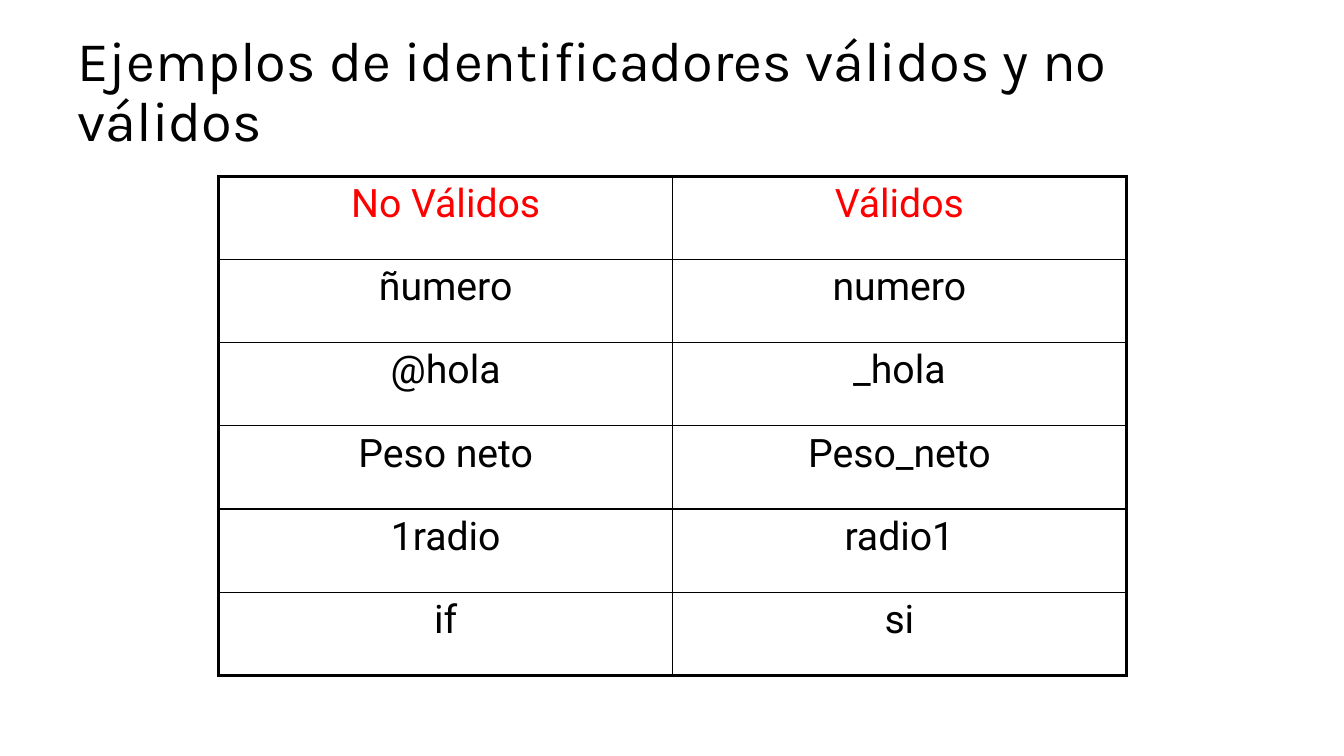
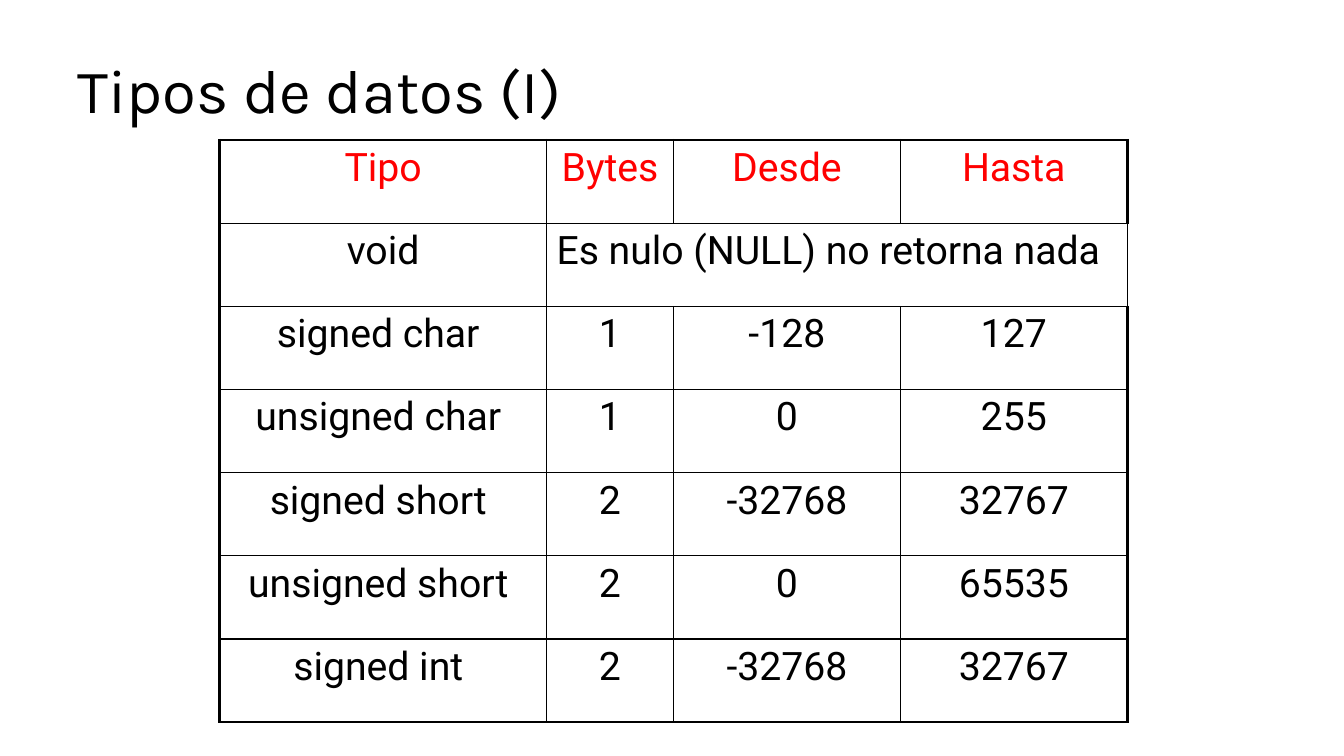
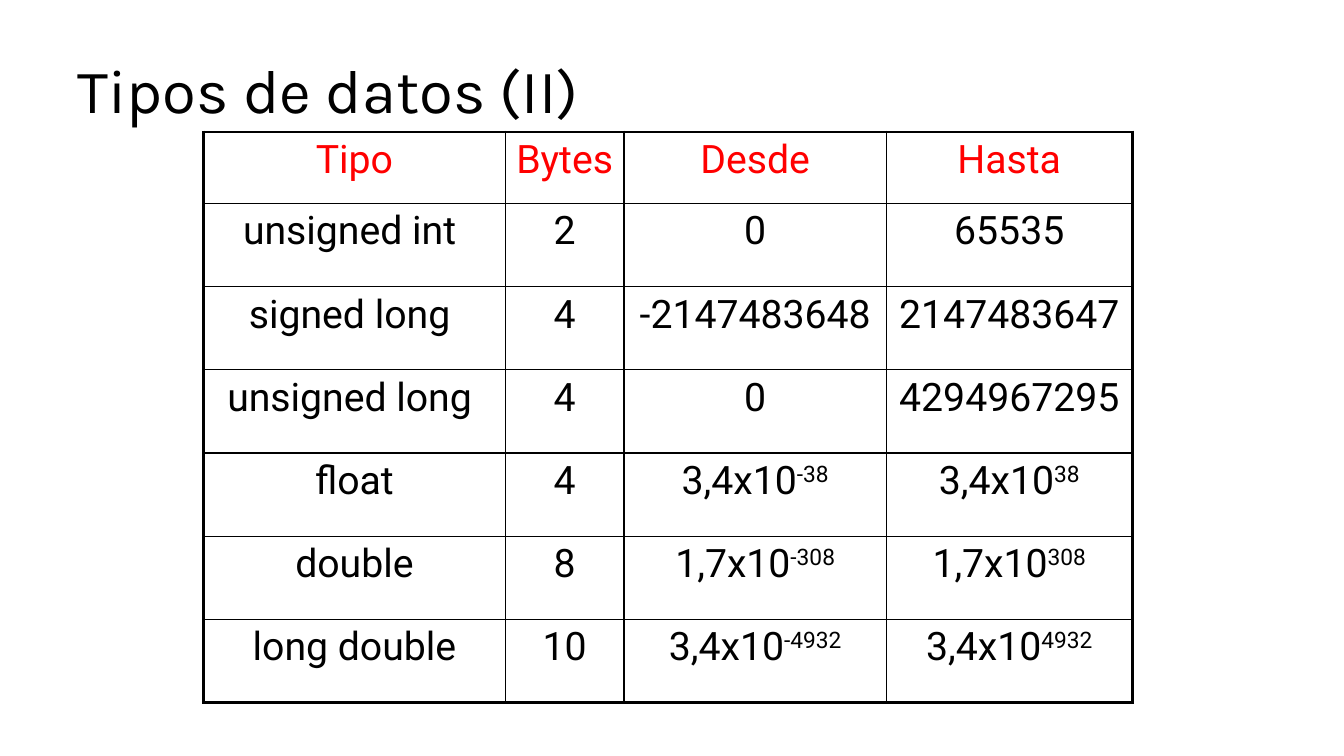
from lxml.etree import SubElement
from pptx import Presentation
from pptx.dml.color import RGBColor
from pptx.enum.text import MSO_ANCHOR, PP_ALIGN
from pptx.oxml import parse_xml
from pptx.oxml.ns import nsdecls, qn
from pptx.util import Inches, Pt

# Content: "^" starts a superscript, None joins a cell to the one on its left
HEAD = ("Tipo", "Bytes", "Desde", "Hasta")
SLIDES = [
    dict(
        title="Ejemplos de identificadores válidos y no válidos", size=40,
        left=2.17, top=1.75, cols=(4.5, 4.5), first=0.825,
        rows=[
            ("No Válidos", "Válidos"),
            ("ñumero", "numero"),
            ("@hola", "_hola"),
            ("Peso neto", "Peso_neto"),
            ("1radio", "radio1"),
            ("if", "si"),
        ]),
    dict(
        title="Tipos de datos (I)", size=44,
        left=2.18, top=1.39, cols=(3.24, 1.26, 2.25, 2.25), first=0.825,
        rows=[
            HEAD,
            ("void", "Es nulo (NULL) no retorna nada", None, None),
            ("signed char ", "1", "-128", "127"),
            ("unsigned char ", "1", "0", "255"),
            ("signed short ", "2", "-32768", "32767"),
            ("unsigned short ", "2", "0", "65535"),
            ("signed int ", "2", "-32768", "32767"),
        ]),
    dict(
        title="Tipos de datos (II)", size=44,
        left=2.02, top=1.31, cols=(2.99, 1.18, 2.6, 2.44), first=0.71,
        rows=[
            HEAD,
            ("unsigned int ", "2", "0", "65535"),
            ("signed long ", "4", "-2147483648", "2147483647"),
            ("unsigned long ", "4", "0", "4294967295"),
            ("float", "4", "3,4x10^-38", "3,4x10^38"),
            ("double", "8", "1,7x10^-308", "1,7x10^308"),
            ("long double", "10", "3,4x10^-4932", "3,4x10^4932"),
        ]),
]

# Shared style
COLOR = {"ink": "000000", "head": "FF0000"}
FONT = {"title": "Karla", "cell": "Roboto"}
ROW = Inches(0.825)
THICK, THIN = Pt(2.25), Pt(1)


def put(frame, text, font, size, color="ink", align=PP_ALIGN.LEFT,
        line=None, before=None):
    """Write one paragraph; before is a percentage of the line."""
    par = frame.paragraphs[0]
    par.alignment = align
    if line:
        par.line_spacing = line
    if before:
        gap = SubElement(par._p.get_or_add_pPr(), qn("a:spcBef"))
        SubElement(gap, qn("a:spcPct")).set("val", str(before * 1000))
    for i, part in enumerate(text.split("^")):
        run = par.add_run()
        run.text = part
        run.font.name = FONT[font]
        run.font.size = Pt(size)
        run.font.color.rgb = RGBColor.from_string(COLOR[color])
        if i:
            run._r.get_or_add_rPr().set("baseline", "30000")


def edge(cell, outer):
    """Draw the four borders, thick on the outer sides."""
    cell.fill.background()
    props = cell._tc.get_or_add_tcPr()
    for i, side in enumerate("LRTB"):
        wide = THICK if side in outer else THIN
        props.insert(i, parse_xml(
            f'<a:ln{side} {nsdecls("a")} w="{wide}"><a:solidFill>'
            f'<a:srgbClr val="{COLOR["ink"]}"/></a:solidFill></a:ln{side}>'))


def grid(slide, data):
    rows, cols = data["rows"], data["cols"]
    last, end = len(rows) - 1, len(cols) - 1
    first = Inches(data["first"])
    table = slide.shapes.add_table(
        len(rows), len(cols), Inches(data["left"]), Inches(data["top"]),
        Inches(sum(cols)), first + ROW * last).table
    table.first_row = table.horz_banding = False
    for col, wide in zip(table.columns, cols):
        col.width = Inches(wide)
    for r, row in enumerate(rows):
        table.rows[r].height = ROW if r else first
        for c, text in enumerate(row):
            cell = table.cell(r, c)
            sides = {"L": c == 0, "R": c == end, "T": r == 0, "B": r == last}
            edge(cell, [s for s in sides if sides[s]])
            if text is None:
                continue
            span = c
            while span < end and row[span + 1] is None:
                span += 1
            if span > c:
                cell.merge(table.cell(r, span))
            put(cell.text_frame, text, "cell", 28, before=20,
                color="ink" if r else "head",
                align=PP_ALIGN.LEFT if span > c else PP_ALIGN.CENTER)


def main():
    deck = Presentation()
    deck.slide_width, deck.slide_height = Inches(13.33), Inches(7.5)
    for data in SLIDES:
        slide = deck.slides.add_slide(deck.slide_layouts[6])
        # Title
        frame = slide.shapes.add_textbox(
            Inches(0.67), Inches(0.3), Inches(12), Inches(1.25)).text_frame
        frame.word_wrap = True
        frame.vertical_anchor = MSO_ANCHOR.MIDDLE
        put(frame, data["title"], "title", data["size"], line=0.9)
        # Table
        grid(slide, data)
    deck.save("out.pptx")


if __name__ == "__main__":
    main()
